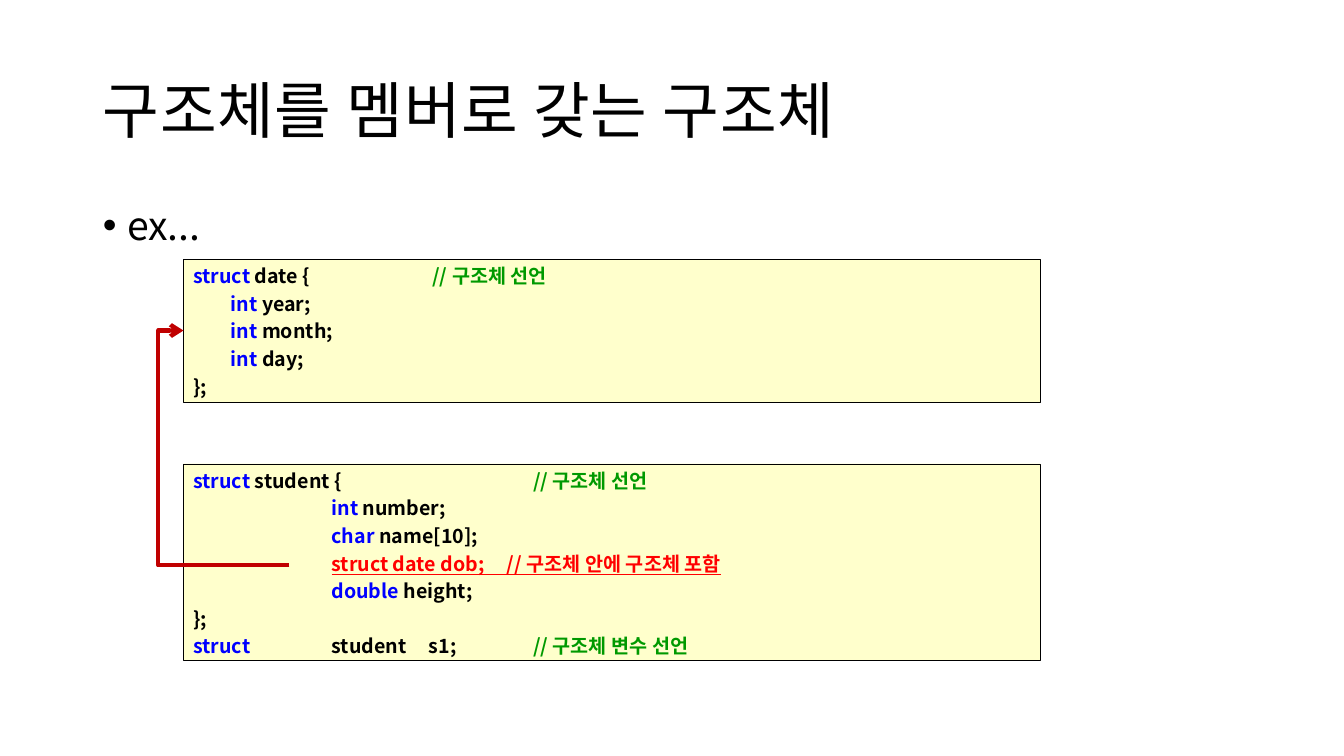
from pptx import Presentation, util as u
from pptx.dml.color import RGBColor
from pptx.enum import shapes, text
from pptx.oxml.ns import qn
from lxml import etree

FONT = "Noto Sans CJK KR"
COLORS = {"text": "000000", "keyword": "0000FF", "comment": "009900",
          "member": "FF0000", "box": "FFFFCC", "arrow": "C00000"}


def add_run(p, words, color, **fmt):
    r = p.add_run()
    r.text = words
    for name, value in {"name": FONT, **fmt}.items():
        setattr(r.font, name, value)
    r.font.color.rgb = RGBColor.from_string(COLORS[color])
    ea = etree.SubElement(r.font._element, qn("a:ea"))
    ea.set("typeface", FONT)
    return r


def set_indent(p, inches):
    pPr = p._p.get_or_add_pPr()
    for name, value in {"marL": inches, "indent": -inches, "defTabSz": 1}.items():
        pPr.set(name, str(u.Inches(value)))


prs = Presentation()
prs.slide_width, prs.slide_height = u.Inches(13.33), u.Inches(7.5)
s = prs.slides.add_slide(prs.slide_layouts[1])

# Title and bullet; spacing is in hundredths of a point
headings = [
    (s.shapes.title, 0.4, 1.45, "구조체를 멤버로 갖는 구조체", 44, text.MSO_ANCHOR.MIDDLE, 50),
    (s.placeholders[1], 2, 4.76, "ex...", 28, text.MSO_ANCHOR.TOP, 0),
]
for sp, top, height, words, size, anchor, spacing in headings:
    sp.left, sp.top = u.Inches(0.92), u.Inches(top)
    sp.width, sp.height = u.Inches(11.5), u.Inches(height)
    sp.text_frame.vertical_anchor = anchor
    p = sp.text_frame.paragraphs[0]
    p.alignment = text.PP_ALIGN.LEFT
    p.line_spacing = 0.9
    r = add_run(p, words, "text", size=u.Pt(size))
    r.font._element.set("spc", str(spacing))
p.space_before = u.Pt(10)
set_indent(p, 0.24)

# Code boxes: each line is a list of (words, colour)
date_code = [
    [("struct", "keyword"), (" date {\t\t", "text"), ("// 구조체 선언", "comment")],
    [("\t", "text"), ("int", "keyword"), (" year;", "text")],
    [("\t", "text"), ("int", "keyword"), (" month;", "text")],
    [("\t", "text"), ("int", "keyword"), (" day;", "text")],
    [("};", "text")],
]
student_code = [
    [("struct", "keyword"), (" student {\t\t", "text"), ("// 구조체 선언", "comment")],
    [("\t\t", "text"), ("int", "keyword"), (" number;", "text")],
    [("\t\t", "text"), ("char", "keyword"), (" name[10];", "text")],
    [("\t\t", "text"), ("struct date dob;     // 구조체 안에 구조체 포함", "member")],
    [("\t\t", "text"), ("double", "keyword"), (" height;", "text")],
    [("};", "text")],
    [("struct", "keyword"), ("\tstudent     s1;\t", "text"), ("// 구조체 변수 선언", "comment")],
]
for top, height, code in [(2.57, 1.42, date_code), (4.6, 1.95, student_code)]:
    sp = s.shapes.add_shape(shapes.MSO_SHAPE.RECTANGLE, u.Inches(1.82), u.Inches(top),
                            u.Inches(8.5), u.Inches(height))
    sp.shadow.inherit = False
    sp.fill.solid()
    sp.fill.fore_color.rgb = RGBColor.from_string(COLORS["box"])
    sp.line.color.rgb = RGBColor.from_string(COLORS["text"])
    sp.line.width = u.Pt(0.25)
    tf = sp.text_frame
    for name, value in {"word_wrap": True, "margin_top": u.Inches(0.01), "margin_bottom": 0,
                        "vertical_anchor": text.MSO_ANCHOR.TOP}.items():
        setattr(tf, name, value)
    for i, line in enumerate(code):
        p = tf.add_paragraph() if i else tf.paragraphs[0]
        p.alignment = text.PP_ALIGN.LEFT
        p.line_spacing = u.Pt(19.7)
        set_indent(p, 0.37)
        for words, color in line:
            add_run(p, words, color, size=u.Pt(14), bold=True, underline=color == "member")

# Arrow from the dob member back to struct date
cxn = s.shapes.add_connector(shapes.MSO_CONNECTOR.ELBOW, u.Inches(2.87), u.Inches(5.61),
                             u.Inches(1.82), u.Inches(3.28))
cxn.line.color.rgb = RGBColor.from_string(COLORS["arrow"])
cxn.line.width = u.Pt(3)
etree.SubElement(cxn.line._get_or_add_ln(), qn("a:tailEnd")).set("type", "arrow")
spPr = cxn._element.spPr
etree.SubElement(spPr, qn("a:effectLst"))
geom = spPr.find(qn("a:prstGeom"))
avLst = geom.find(qn("a:avLst"))
if avLst is None:
    avLst = etree.SubElement(geom, qn("a:avLst"))
gd = etree.SubElement(avLst, qn("a:gd"))
gd.set("name", "adj1")
gd.set("fmla", "val 123800")

prs.save("out.pptx")
